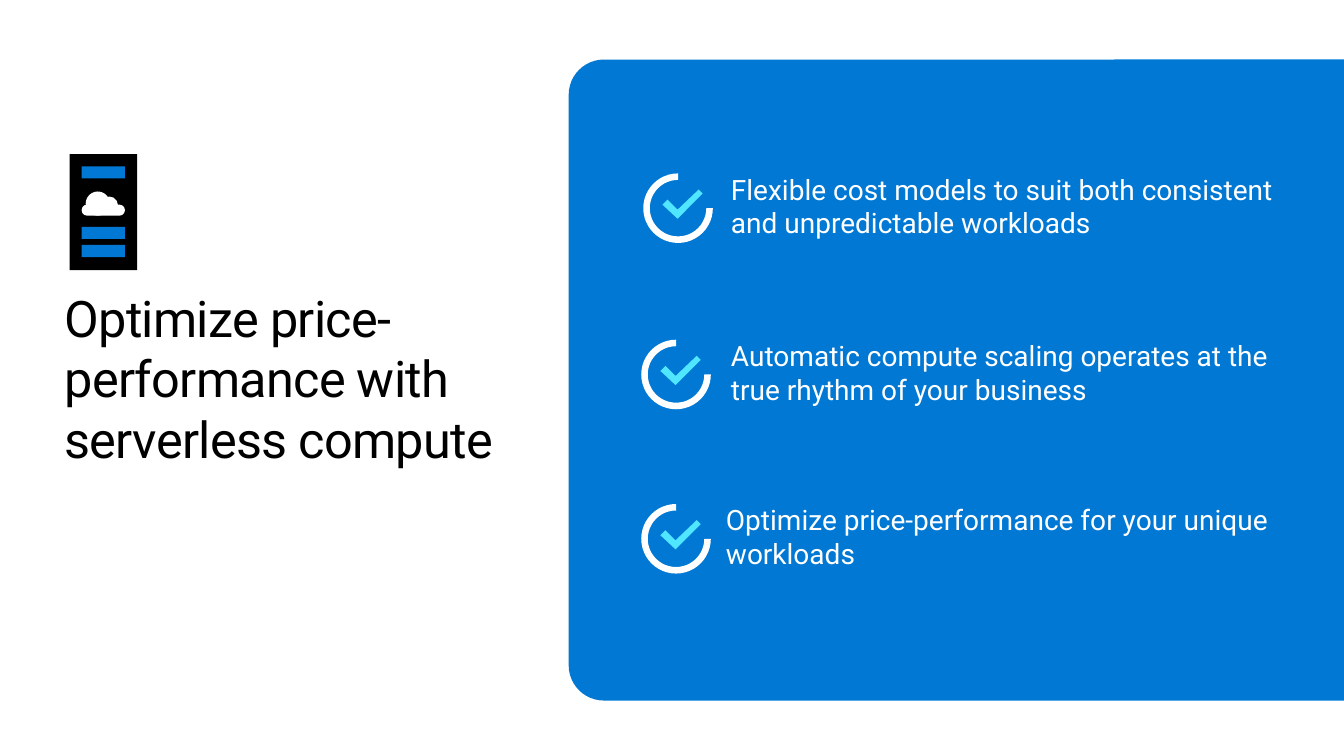
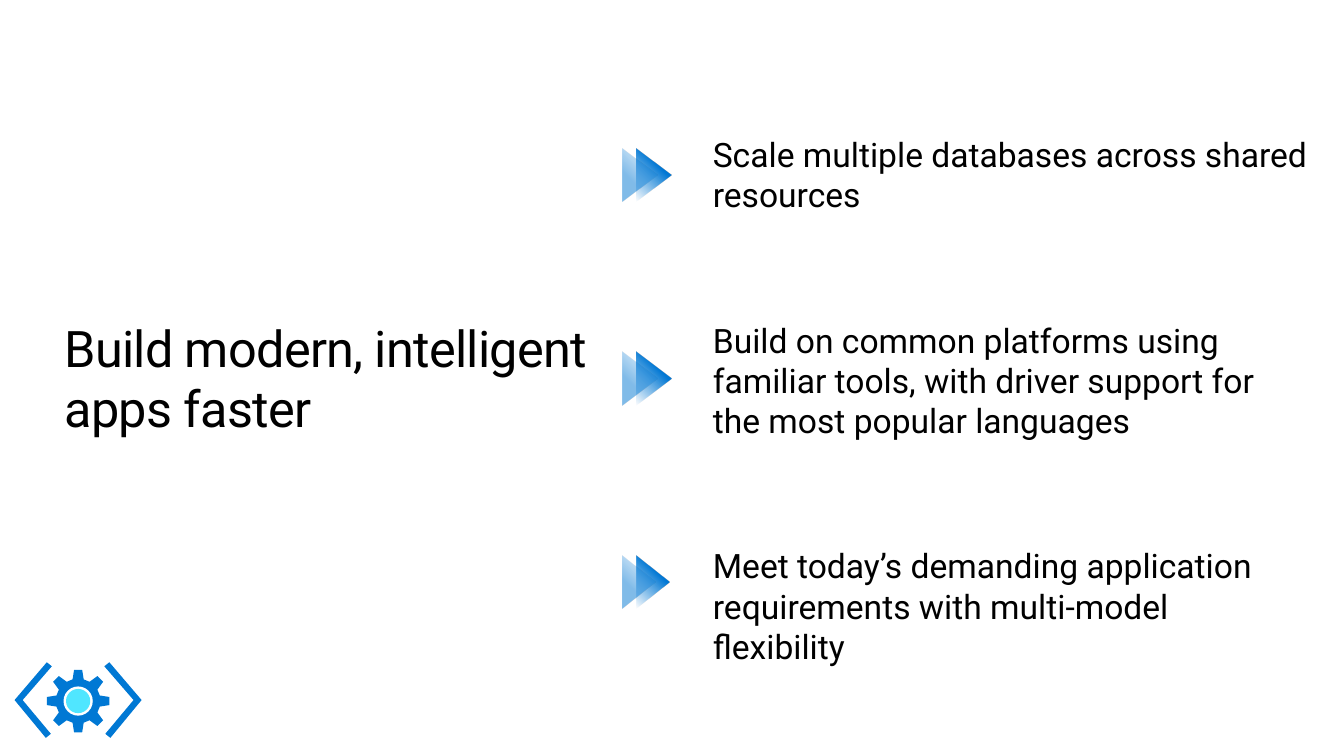
import math

import lxml.etree
import pptx
import pptx.dml.color
import pptx.enum.shapes
import pptx.enum.text
import pptx.oxml.ns
import pptx.util
from pptx.util import Inches

SHAPES = pptx.enum.shapes.MSO_SHAPE
ANCHORS = pptx.enum.text.MSO_ANCHOR
FONT = "Roboto"
BLUE, CYAN, WHITE, BLACK = "0078D4", "50E6FF", "FFFFFF", "000000"


def rgb(value):
    return pptx.dml.color.RGBColor.from_string(value)


def style(shape, color):
    shape.shadow.inherit = False
    shape.line.fill.background()
    if color:
        shape.fill.solid()
        shape.fill.fore_color.rgb = rgb(color)
    return shape


def add_preset(slide, kind, left, top, width, height, color):
    shape = slide.shapes.add_shape(
        kind, Inches(left), Inches(top), Inches(width), Inches(height))
    return style(shape, color)


def add_polygon(slide, left, top, points, color=None):
    """Closed outline whose points are offsets from left and top."""
    corners = [(Inches(left + x), Inches(top + y)) for x, y in points]
    builder = slide.shapes.build_freeform(*corners[0])
    builder.add_line_segments(corners[1:], close=True)
    return style(builder.convert_to_shape(), color)


def add_text(slide, box, text, size, color, anchor=ANCHORS.TOP):
    shape = slide.shapes.add_textbox(*map(Inches, box))
    frame = shape.text_frame
    frame.word_wrap = True
    frame.vertical_anchor = anchor
    frame.margin_left = frame.margin_right = 0
    frame.margin_top = frame.margin_bottom = 0
    paragraph = frame.paragraphs[0]
    paragraph.text = text
    paragraph.font.name = FONT
    paragraph.font.size = pptx.util.Pt(size)
    paragraph.font.color.rgb = rgb(color)
    return paragraph


def add_title(slide, text):
    paragraph = add_text(slide, (0.64, 3.14, 5.35, 1.21), text, 36, BLACK,
                         ANCHORS.MIDDLE)
    # Slightly tightened letter spacing
    paragraph.runs[0].font._element.set("spc", "-50")


def add_panel(slide, left, top, width, height):
    """Panel with its two left corners rounded: a turned top-rounded box."""
    center_x, center_y = left + width / 2, top + height / 2
    panel = add_preset(slide, SHAPES.ROUND_2_SAME_RECTANGLE,
                       center_x - height / 2, center_y - width / 2,
                       height, width, BLUE)
    panel.adjustments[0] = 0.055
    panel.adjustments[1] = 0
    panel.rotation = 270


def add_check_icon(slide, left, top):
    add_polygon(slide, left, top,
                [(0.19, 0.31), (0.24, 0.26), (0.34, 0.36), (0.55, 0.16),
                 (0.59, 0.2), (0.34, 0.45)], CYAN)
    # Three-quarter ring, open at the top right
    ring = add_preset(slide, SHAPES.BLOCK_ARC, left, top, 0.69, 0.69, WHITE)
    ring.adjustments[0] = 0
    ring.adjustments[1] = 270 * 60000 / 100000
    ring.adjustments[2] = 0.094


def add_server_icon(slide, left, top):
    add_preset(slide, SHAPES.RECTANGLE, left, top, 0.67, 1.15, BLACK)
    for offset in (0.12, 0.72, 0.9):
        add_preset(slide, SHAPES.RECTANGLE, left + 0.12, top + offset,
                   0.43, 0.12, BLUE)
    # Cloud: a rounded base and two puffs
    base = add_preset(slide, SHAPES.ROUNDED_RECTANGLE, left + 0.12,
                      top + 0.5, 0.43, 0.11, WHITE)
    base.adjustments[0] = 0.5
    for x, y, size in ((0.16, 0.37, 0.24), (0.31, 0.42, 0.17)):
        add_preset(slide, SHAPES.OVAL, left + x, top + y, size, size, WHITE)


def add_fading_triangle(slide, left, top, width, height, angle, opacity):
    shape = add_polygon(slide, left, top,
                        [(0, height), (0, 0), (width, height / 2)])
    shape.fill.gradient()
    shape.fill.gradient_angle = angle
    stops = shape.fill.gradient_stops
    for stop, position in zip(stops, (0, 0.66)):
        stop.position = position
        stop.color.rgb = rgb(BLUE)
    qualify = pptx.oxml.ns.qn
    colors = list(shape._element.spPr.iter(qualify("a:srgbClr")))
    for color, percent in zip(colors, (0, opacity)):
        alpha = lxml.etree.SubElement(color, qualify("a:alpha"))
        alpha.set("val", str(percent * 1000))


def add_double_arrow(slide, left, top, width):
    head = width - 0.14
    add_fading_triangle(slide, left + 0.14, top, head, 0.53, 45, 100)
    add_fading_triangle(slide, left, top, head, 0.53, 225, 50)


def add_gear(slide, center_x, center_y):
    teeth = 8
    profile = [(0.215, -0.055), (0.31, -0.04), (0.31, 0.04), (0.215, 0.055)]
    points = []
    for tooth in range(teeth):
        angle = 2 * math.pi * tooth / teeth
        cosine, sine = math.cos(angle), math.sin(angle)
        points += [(x * cosine - y * sine, x * sine + y * cosine)
                   for x, y in profile]
    add_polygon(slide, center_x, center_y, points, BLUE)
    for radius, color in ((0.145, WHITE), (0.12, CYAN)):
        add_preset(slide, SHAPES.OVAL, center_x - radius, center_y - radius,
                   2 * radius, 2 * radius, color)


def add_code_icon(slide, left, top):
    center_x = left + 0.635
    bracket = [(-0.32, 0.75), (-0.63, 0.375), (-0.31, 0), (-0.26, 0.04),
               (-0.55, 0.375), (-0.27, 0.71)]
    for side in (1, -1):
        add_polygon(slide, center_x, top,
                    [(side * x, y) for x, y in bracket], BLUE)
    add_gear(slide, center_x, top + 0.385)


def build_price_slide(slide):
    add_panel(slide, 5.64, 0.59, 7.69, 6.36)
    add_title(slide, "Optimize price-performance with serverless compute")
    add_server_icon(slide, 0.69, 1.53)
    # Benefits: icon left and top, text left and width, text
    benefits = [
        (6.38, 1.72, 7.25, 5.4, "Flexible cost models to suit both "
         "consistent and unpredictable workloads"),
        (6.36, 3.37, 7.25, 5.34, "Automatic compute scaling operates at the "
         "true rhythm of your business"),
        (6.36, 5, 7.2, 5.48, "Optimize price-performance for your unique "
         "workloads"),
    ]
    for icon_left, top, text_left, width, text in benefits:
        add_check_icon(slide, icon_left, top)
        add_text(slide, (text_left, top - 0.01, width, 0.67), text, 20, WHITE)


def build_apps_slide(slide):
    add_title(slide, "Build modern, intelligent apps faster")
    # Benefits: arrow width, text top, width and height, text
    benefits = [
        (0.49, 1.33, 6.23, 0.81,
         "Scale multiple databases across shared resources"),
        (0.49, 3.17, 5.72, 1.21, "Build on common platforms using familiar "
         "tools, with driver support for the most popular languages"),
        (0.47, 5.41, 5.48, 1.21, "Meet today’s demanding application "
         "requirements with multi-model flexibility"),
    ]
    for row, (arrow, top, width, height, text) in enumerate(benefits):
        add_double_arrow(slide, 6.17, 1.47 + 2.02 * row, arrow)
        add_text(slide, (7.07, top, width, height), text, 24, BLACK)
    add_code_icon(slide, 0.14, 6.57)


def main():
    presentation = pptx.Presentation()
    presentation.slide_width = Inches(13.33)
    presentation.slide_height = Inches(7.5)
    for build in (build_price_slide, build_apps_slide):
        build(presentation.slides.add_slide(presentation.slide_layouts[6]))
    presentation.save("out.pptx")


if __name__ == "__main__":
    main()
